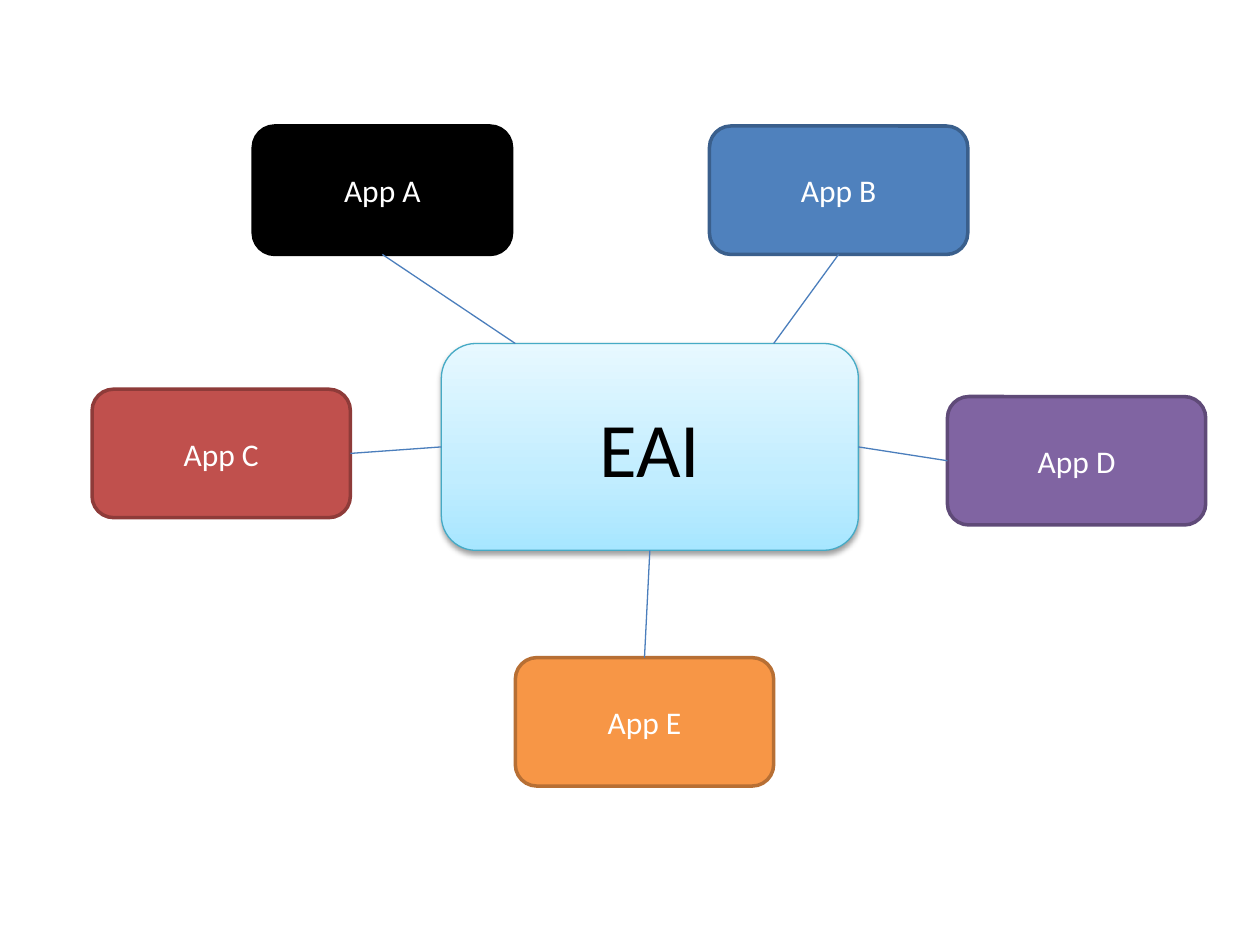
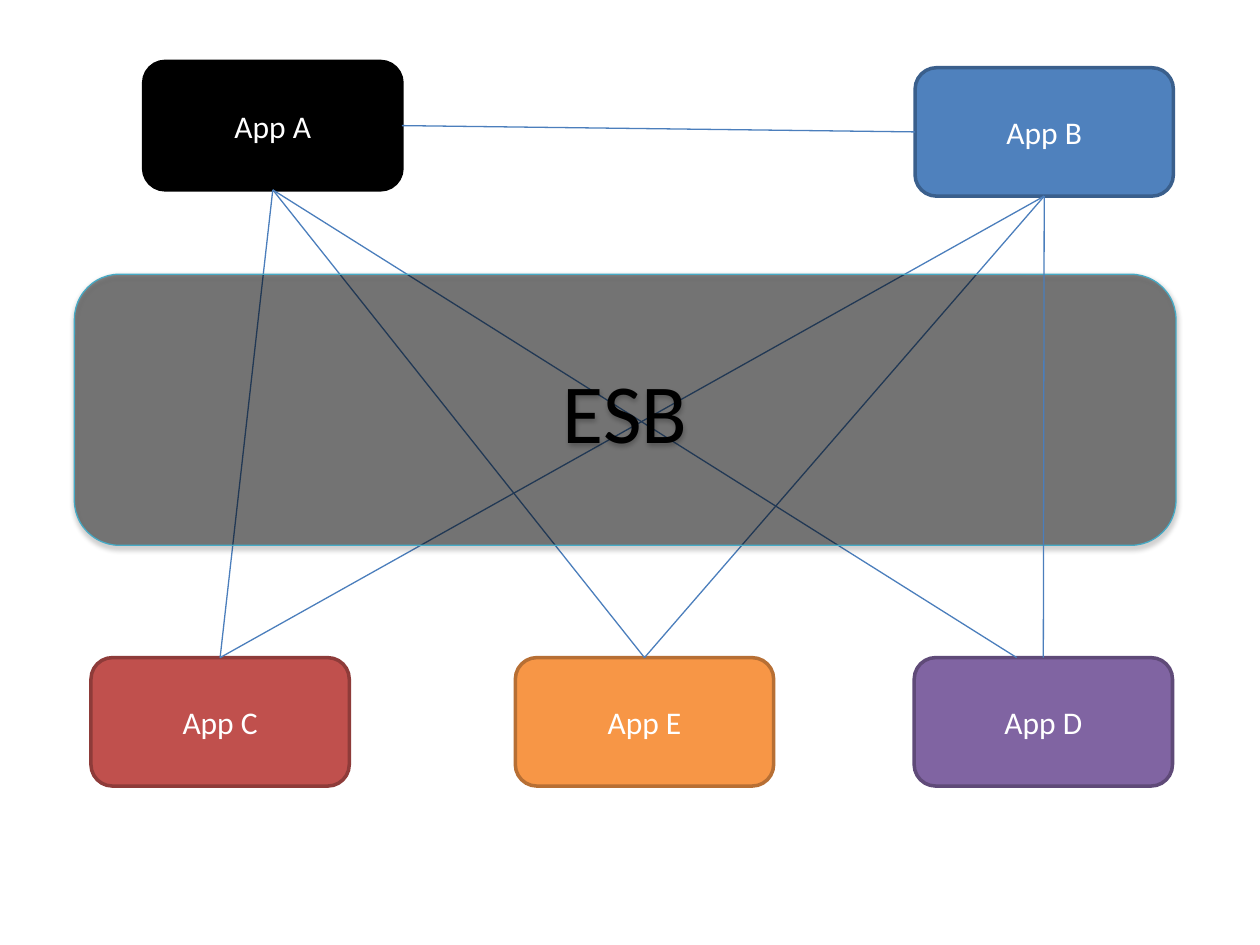
import lxml.etree
import pptx
import pptx.dml.color
import pptx.enum.shapes
import pptx.enum.text
import pptx.oxml.ns
import pptx.util

Pt = pptx.util.Pt
RGB = pptx.dml.color.RGBColor
qn = pptx.oxml.ns.qn

BLACK = RGB(0x00, 0x00, 0x00)
WHITE = RGB(0xFF, 0xFF, 0xFF)
TEAL = RGB(0x46, 0xAA, 0xC5)
LINK = RGB(0x4B, 0x7E, 0xBC)
SKY = [(0, RGB(0xA7, 0xE6, 0xFF)), (35, RGB(0xC1, 0xED, 0xFF)), (100, RGB(0xE7, 0xF8, 0xFF))]
# Fill and edge of each app
APPS = {
    "A": (BLACK, BLACK),
    "B": (RGB(0x4F, 0x81, 0xBD), RGB(0x3A, 0x5F, 0x8C)),
    "C": (RGB(0xC0, 0x50, 0x4D), RGB(0x8E, 0x3B, 0x39)),
    "D": (RGB(0x80, 0x64, 0xA2), RGB(0x5F, 0x4A, 0x78)),
    "E": (RGB(0xF7, 0x96, 0x46), RGB(0xB7, 0x6F, 0x34)),
}
WIDE, HIGH = 147.6, 73.4


def box(slide, label, place, fill, edge, weight, size, ink, raised=False):
    """Add a labelled rounded box; a raised one casts a soft shadow."""
    shape = slide.shapes.add_shape(
        pptx.enum.shapes.MSO_SHAPE.ROUNDED_RECTANGLE, *map(Pt, place))
    shape.fill.solid()
    shape.fill.fore_color.rgb = fill
    shape.line.color.rgb = edge
    shape.line.width = Pt(weight)
    shape.shadow.inherit = False
    if raised:
        effect = shape._element.spPr.find(qn("a:effectLst"))
        shade = lxml.etree.SubElement(
            effect, qn("a:outerShdw"), blurRad=str(Pt(3.15)), dist=str(Pt(1.57)),
            dir="5400000", rotWithShape="0")
        tint = lxml.etree.SubElement(shade, qn("a:srgbClr"), val=str(BLACK))
        lxml.etree.SubElement(tint, qn("a:alpha"), val="38000")
    frame = shape.text_frame
    frame.vertical_anchor = pptx.enum.text.MSO_ANCHOR.MIDDLE
    para = frame.paragraphs[0]
    para.alignment = pptx.enum.text.PP_ALIGN.CENTER
    run = para.add_run()
    run.text = label
    run.font.name = "Calibri"
    run.font.size = Pt(size)
    run.font.color.rgb = ink
    return shape


def link(slide, start, end):
    line = slide.shapes.add_connector(
        pptx.enum.shapes.MSO_CONNECTOR.STRAIGHT, *map(Pt, (*start, *end)))
    line.line.color.rgb = LINK
    line.line.width = Pt(0.75)
    lxml.etree.SubElement(line._element.spPr, qn("a:effectLst"))


deck = pptx.Presentation()
deck.slide_width, deck.slide_height = Pt(720), Pt(540)

# Top left corner of each app, slide by slide
spots = [
    {"A": (144.7, 72), "B": (405.4, 72), "C": (52.6, 222.4),
     "D": (541.4, 226.6), "E": (294.5, 375.8)},
    {"A": (82.1, 35.1), "B": (522.9, 38.7), "C": (52, 375.8),
     "D": (522.4, 375.8), "E": (294.5, 375.8)},
]
slides, sides = [], []
for spot in spots:
    slide = deck.slides.add_slide(deck.slide_layouts[6])
    ends = {}
    for name, (x, y) in spot.items():
        fill, edge = APPS[name]
        box(slide, f"App {name}", (x, y, WIDE, HIGH), fill, edge, 2, 18, WHITE)
        ends[name] = {
            "top": (x + WIDE / 2, y), "bottom": (x + WIDE / 2, y + HIGH),
            "left": (x, y + HIGH / 2), "right": (x + WIDE, y + HIGH / 2)}
    slides.append(slide)
    sides.append(ends)

# Slide 1: every app meets the hub
slide, ends = slides[0], sides[0]
x, y, wide, high = 252.2, 196.3, 238.3, 118.2
hub = box(slide, "EAI", (x, y, wide, high), SKY[0][1], TEAL, 0.75, 44, BLACK, True)
hub.fill.gradient()
hub.fill.gradient_angle = 90
stops = hub._element.spPr.find(qn("a:gradFill")).find(qn("a:gsLst"))
for stop in list(stops):
    stops.remove(stop)
for share, color in SKY:
    stop = lxml.etree.SubElement(stops, qn("a:gs"), pos=str(share * 1000))
    lxml.etree.SubElement(stop, qn("a:srgbClr"), val=str(color))
for name, side, point in [
    ("A", "bottom", (294.5, y)),
    ("B", "bottom", (442.1, y)),
    ("C", "right", (x, y + high / 2)),
    ("E", "top", (x + wide / 2, y + high)),
    ("D", "left", (x + wide, y + high / 2)),
]:
    link(slide, ends[name][side], point)

# Slide 2: apps meet each other through the bus
slide, ends = slides[1], sides[1]
foot_a, foot_b = ends["A"]["bottom"], ends["B"]["bottom"]
link(slide, foot_a, ends["C"]["top"])
link(slide, ends["A"]["right"], ends["B"]["left"])
link(slide, foot_a, ends["E"]["top"])
link(slide, foot_a, (581, ends["D"]["top"][1]))
for name in "CE":
    link(slide, foot_b, ends[name]["top"])
bus = box(slide, "ESB", (42.5, 156.7, 629.5, 154.9), BLACK, TEAL, 0.75, 48, BLACK, True)
paint = bus._element.spPr.find(qn("a:solidFill")).find(qn("a:srgbClr"))
lxml.etree.SubElement(paint, qn("a:alpha"), val="45000")
link(slide, foot_b, ends["D"]["top"])

deck.save("out.pptx")
